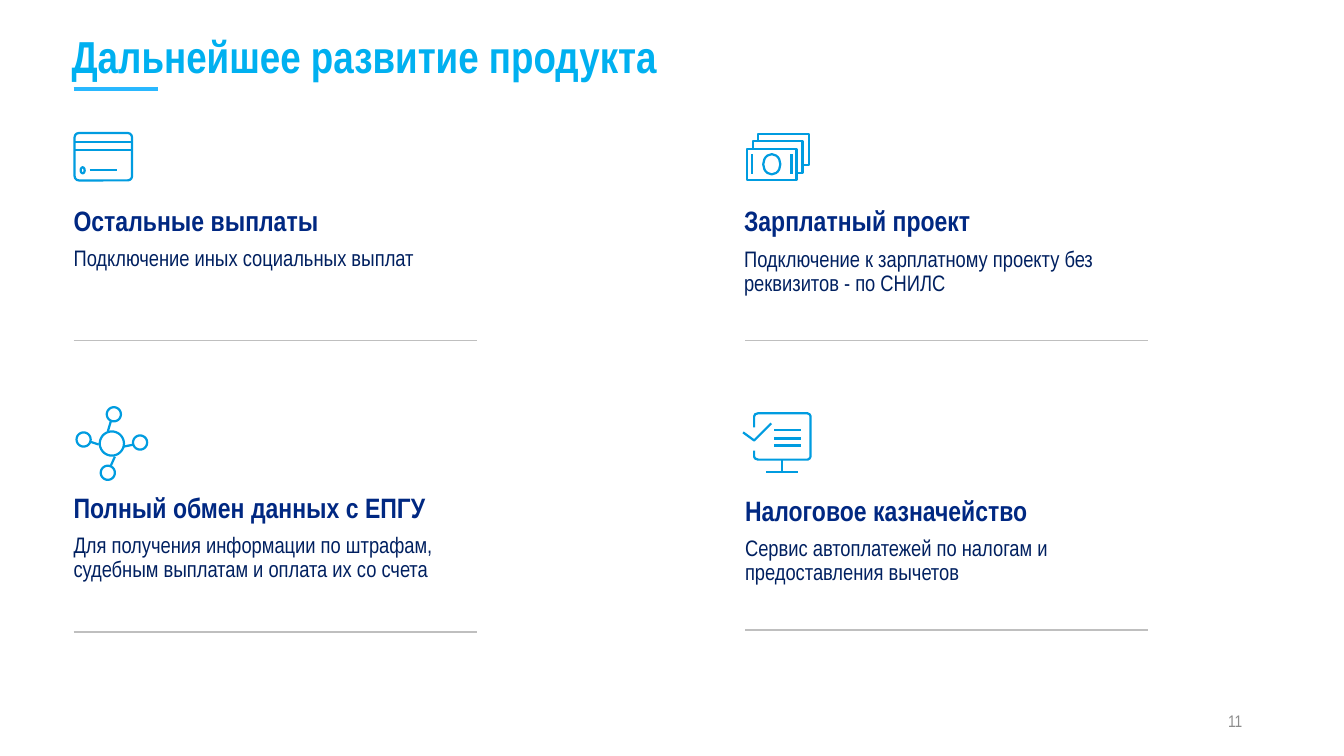
from dataclasses import dataclass
from math import cos, pi, sin

from lxml.etree import SubElement
from pptx import Presentation
from pptx.dml.color import RGBColor
from pptx.enum.shapes import MSO_CONNECTOR, MSO_SHAPE
from pptx.enum.text import MSO_ANCHOR, MSO_AUTO_SIZE, PP_ALIGN
from pptx.oxml.ns import qn
from pptx.util import Inches, Pt


@dataclass(frozen=True)
class Theme:
    font: str = "Arial Narrow"
    title: str = "00B0F0"
    accent: str = "29B8FF"
    icon: str = "009CE0"
    heading: str = "002882"
    body: str = "002060"
    divider: str = "BFBFBF"
    number: str = "8C8C8C"
    title_size: int = 32
    heading_size: int = 20
    body_size: int = 16
    number_size: int = 12
    icon_stroke: float = 1.6


THEME = Theme()
LEFT, RIGHT = 0.73, 7.39

# Text left, top and height, divider left and height, heading, description
CARDS = [
    (LEFT, 2.06, 0.64, LEFT, 3.38, "Остальные выплаты",
     "Подключение иных социальных выплат"),
    (7.38, 2.06, 0.89, RIGHT, 3.38, "Зарплатный проект",
     "Подключение к зарплатному проекту без реквизитов - по СНИЛС"),
    (LEFT, 4.9, 0.89, LEFT, 6.27, "Полный обмен данных с ЕПГУ",
     "Для получения информации по штрафам, судебным выплатам и оплата их со счета"),
    (RIGHT, 4.93, 0.89, RIGHT, 6.25, "Налоговое казначейство",
     "Сервис автоплатежей по налогам и предоставления вычетов"),
]


# Basic elements
def add_span(para, text, size, color, bold=False):
    span = para.add_run()
    span.text = text
    span.font.name = THEME.font
    span.font.size = Pt(size)
    span.font.bold = bold
    span.font.color.rgb = RGBColor.from_string(color)


def add_line(shapes, start, end, color, width):
    line = shapes.add_connector(
        MSO_CONNECTOR.STRAIGHT, *(Inches(value) for value in (*start, *end)))
    line.line.color.rgb = RGBColor.from_string(color)
    line.line.width = Pt(width)
    SubElement(line._element.spPr, qn("a:effectLst"))


def add_text_box(page, left, top, width, height):
    box = page.shapes.add_textbox(
        Inches(left), Inches(top), Inches(width), Inches(height))
    box.text_frame.word_wrap = True
    return box.text_frame


# Icon strokes
def outline(shape):
    shape.shadow.inherit = False
    shape.fill.background()
    shape.line.color.rgb = RGBColor.from_string(THEME.icon)
    shape.line.width = Pt(THEME.icon_stroke)


def icon_shape(icon, kind, left, top, width, height):
    shape = icon.shapes.add_shape(
        kind, Inches(left), Inches(top), Inches(width), Inches(height))
    outline(shape)
    return shape


def icon_line(icon, start, end):
    add_line(icon.shapes, start, end, THEME.icon, THEME.icon_stroke)


def icon_path(owner, *strokes):
    builder = None
    for points in strokes:
        first, *others = [(Inches(x), Inches(y)) for x, y in points]
        if builder is None:
            builder = owner.shapes.build_freeform(*first)
        else:
            builder.move_to(*first)
        builder.add_line_segments(others, close=False)
    outline(builder.convert_to_shape())


def circle_points(center_x, center_y, radius, steps=36):
    angles = [2 * pi * step / steps for step in range(steps + 1)]
    return [(center_x + radius * cos(angle), center_y + radius * sin(angle))
            for angle in angles]


# Icons
def add_bank_card(page):
    icon = page.shapes.add_group_shape()
    card = icon_shape(icon, MSO_SHAPE.ROUNDED_RECTANGLE, 0.74, 1.32, 0.57, 0.47)
    card.adjustments[0] = 0.09
    for y in (1.41, 1.49):
        icon_line(icon, (0.74, y), (1.31, y))
    icon_shape(icon, MSO_SHAPE.OVAL, 0.8, 1.66, 0.04, 0.06)
    icon_line(icon, (0.89, 1.69), (1.16, 1.69))


def add_banknotes(page):
    icon = page.shapes.add_group_shape()
    icon_shape(icon, MSO_SHAPE.RECTANGLE, 7.41, 1.48, 0.49, 0.31)
    icon_shape(icon, MSO_SHAPE.OVAL, 7.57, 1.53, 0.17, 0.2)
    for x in (7.46, 7.85):
        icon_line(icon, (x, 1.53), (x, 1.73))
    icon_path(icon,
              [(7.47, 1.47), (7.47, 1.4), (7.96, 1.4), (7.96, 1.72), (7.9, 1.72)],
              [(7.52, 1.4), (7.52, 1.33), (8.02, 1.33), (8.02, 1.64), (7.96, 1.64)])


def add_network(page):
    nodes = [(1.13, 4.11), (1.39, 4.39), (1.07, 4.69), (0.83, 4.36)]
    links = [[(1.1, 4.18), (1.07, 4.28)], [(1.23, 4.43), (1.33, 4.41)],
             [(1.14, 4.53), (1.1, 4.62)], [(0.89, 4.38), (0.98, 4.41)]]
    icon_path(page, circle_points(1.11, 4.4, 0.12),
              *(circle_points(x, y, 0.07) for x, y in nodes), *links)


def add_monitor(page):
    icon = page.shapes.add_group_shape()
    icon_path(icon, [(7.48, 4.24), (7.48, 4.13), (7.49, 4.11), (7.52, 4.1), (8.01, 4.1),
                     (8.03, 4.11), (8.04, 4.13), (8.04, 4.53), (8.03, 4.55), (8.01, 4.56),
                     (7.52, 4.56), (7.49, 4.55), (7.48, 4.53), (7.48, 4.47)],
              [(7.76, 4.56), (7.76, 4.68)], [(7.6, 4.68), (7.92, 4.68)])
    for y in (4.27, 4.35, 4.42):
        icon_line(icon, (7.68, y), (7.94, y))
    icon_path(icon, [(7.37, 4.29), (7.48, 4.37), (7.65, 4.2)])


# Slide parts
def add_title(page, text):
    title = page.shapes.title
    title.left, title.top = Inches(0.61), Inches(0.28)
    title.width, title.height = Inches(10.85), Inches(0.54)
    frame = title.text_frame
    frame.auto_size = MSO_AUTO_SIZE.NONE
    frame.vertical_anchor = MSO_ANCHOR.MIDDLE
    para = frame.paragraphs[0]
    para.alignment = PP_ALIGN.LEFT
    add_span(para, text, THEME.title_size, THEME.title, bold=True)
    add_line(page.shapes, (LEFT, 0.88), (1.57, 0.88), THEME.accent, 3)


def add_card(page, left, top, height, divider_x, divider_y, heading, description):
    frame = add_text_box(page, left, top, 3.63, height)
    frame.margin_left = frame.margin_right = 0
    frame.margin_top = frame.margin_bottom = 0
    frame.auto_size = MSO_AUTO_SIZE.SHAPE_TO_FIT_TEXT
    heading_para, body_para = frame.paragraphs[0], frame.add_paragraph()
    for para in (heading_para, body_para):
        para.line_spacing = 0.9
        para.space_after = Pt(7)
    add_span(heading_para, heading, THEME.heading_size, THEME.heading, bold=True)
    add_span(body_para, description, THEME.body_size, THEME.body)
    add_line(page.shapes, (divider_x, divider_y), (divider_x + 4, divider_y),
             THEME.divider, 1)


def add_page_number(page, number):
    frame = add_text_box(page, 9.42, 6.95, 3, 0.4)
    frame.vertical_anchor = MSO_ANCHOR.MIDDLE
    para = frame.paragraphs[0]
    para.alignment = PP_ALIGN.RIGHT
    add_span(para, number, THEME.number_size, THEME.number)


def main():
    deck = Presentation()
    deck.slide_width, deck.slide_height = Inches(13.33), Inches(7.5)
    page = deck.slides.add_slide(deck.slide_layouts.get_by_name("Title Only"))
    add_title(page, "Дальнейшее развитие продукта")
    for add_icon in (add_bank_card, add_banknotes, add_network, add_monitor):
        add_icon(page)
    for card in CARDS:
        add_card(page, *card)
    add_page_number(page, "11")
    deck.save("out.pptx")


if __name__ == "__main__":
    main()
